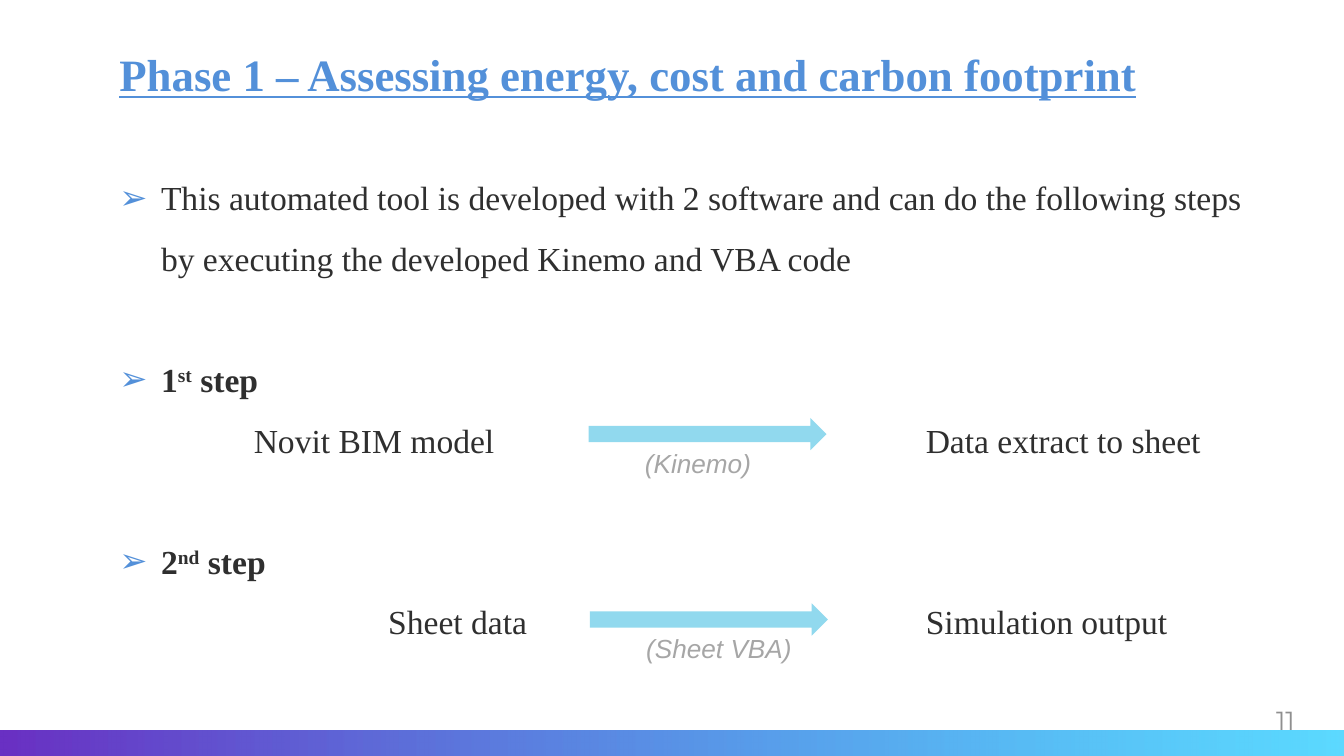
from dataclasses import dataclass

from lxml.etree import SubElement
from pptx import Presentation
from pptx.dml.color import RGBColor
from pptx.enum.shapes import MSO_SHAPE
from pptx.enum.text import MSO_ANCHOR, PP_ALIGN
from pptx.oxml.ns import qn
from pptx.util import Inches, Pt


@dataclass(frozen=True)
class Theme:
    accent: str = "5390D9"
    ink: str = "2F2F2F"
    arrow: str = "91D9EE"
    caption: str = "A6A6A6"
    number: str = "8F8F8F"
    bar_start: str = "6930C3"
    bar_end: str = "00C4FF"
    bar_end_opacity: int = 64
    serif: str = "Times New Roman"
    sans: str = "Arial"
    number_font: str = "Montserrat"
    title_size: int = 24
    body_size: int = 18
    small_size: int = 14


THEME = Theme()
TITLE = {"name": THEME.serif, "size": Pt(THEME.title_size), "color": THEME.accent,
         "bold": True, "underline": True}
BODY = {"name": THEME.serif, "size": Pt(THEME.body_size), "color": THEME.ink}
STRONG = {**BODY, "bold": True}
CAPTION = {"name": THEME.sans, "size": Pt(THEME.small_size), "color": THEME.caption,
           "italic": True}
NUMBER = {"name": THEME.number_font, "size": Pt(THEME.small_size), "color": THEME.number}

PAGE_WIDTH = 10
PAGE_HEIGHT = PAGE_WIDTH * 9 / 16
BAR_HEIGHT = 0.19
OUTPUT_TAB = 6
STEP_GAP = Pt(32.5)
# ordinal, suffix, input, tab of the input, output, tool, arrow left, arrow top
STEPS = [
    ("1", "st", "Novit BIM model", 1, "Data extract to sheet", "(Kinemo)", 4.38, 3.11),
    ("2", "nd", "Sheet data", 2, "Simulation output", "(Sheet VBA)", 4.39, 4.49),
]


def add_span(para, text, style, baseline=None):
    span = para.add_run()
    span.text = text
    for key, value in style.items():
        if key == "color":
            span.font.color.rgb = RGBColor.from_string(value)
        else:
            setattr(span.font, key, value)
    if baseline:
        span.font._element.set("baseline", str(baseline * 1000))


def add_text_box(page, left, top, width, height, inset=0.05):
    box = page.shapes.add_textbox(Inches(left), Inches(top), Inches(width), Inches(height))
    frame = box.text_frame
    frame.word_wrap = True
    frame.margin_top = frame.margin_bottom = Inches(inset)
    return frame


def add_bullet(para):
    """Give the paragraph a hanging arrowhead bullet in the accent colour."""
    properties = para._p.get_or_add_pPr()
    properties.set("marL", str(Inches(0.31)))
    properties.set("indent", str(-Inches(0.31)))
    color = SubElement(properties, qn("a:buClr"))
    SubElement(color, qn("a:srgbClr"), val=THEME.accent)
    SubElement(properties, qn("a:buFont"), typeface=THEME.sans)
    SubElement(properties, qn("a:buChar"), char="➢")


def set_tabs(para, positions):
    tabs = SubElement(para._p.get_or_add_pPr(), qn("a:tabLst"))
    for position in positions:
        SubElement(tabs, qn("a:tab"), pos=str(Inches(position)), algn="l")


def add_body(page):
    frame = add_text_box(page, 0.79, 1.07, 8.76, 4.34, inset=0.1)
    intro = frame.paragraphs[0]
    intro.line_spacing = 1.5
    add_bullet(intro)
    add_span(intro, "This automated tool is developed with 2 software and can do the "
                    "following steps by executing the developed Kinemo and VBA code", BODY)
    for ordinal, suffix, source, source_tab, output, *_ in STEPS:
        heading = frame.add_paragraph()
        heading.line_spacing = 1.5
        heading.space_before = STEP_GAP
        add_bullet(heading)
        add_span(heading, ordinal, STRONG)
        add_span(heading, suffix, STRONG, baseline=30)
        add_span(heading, " step", STRONG)

        flow = frame.add_paragraph()
        flow.line_spacing = 1.5
        set_tabs(flow, (source_tab, OUTPUT_TAB))
        add_span(flow, f"\t{source}\t{output}", BODY)


def add_plain_shape(page, kind, left, top, width, height):
    shape = page.shapes.add_shape(kind, Inches(left), Inches(top),
                                  Inches(width), Inches(height))
    shape.shadow.inherit = False
    shape.line.fill.background()
    return shape


def add_tool_arrow(page, left, top, tool):
    arrow = add_plain_shape(page, MSO_SHAPE.RIGHT_ARROW, left, top, 1.77, 0.24)
    arrow.fill.solid()
    arrow.fill.fore_color.rgb = RGBColor.from_string(THEME.arrow)
    frame = add_text_box(page, left + 0.32, top + 0.17, 1.47, 0.34)
    add_span(frame.paragraphs[0], tool, CAPTION)


def add_footer_bar(page):
    """Draw the bar along the bottom edge, fading towards the right."""
    bar = add_plain_shape(page, MSO_SHAPE.RECTANGLE, 0, PAGE_HEIGHT - BAR_HEIGHT,
                          PAGE_WIDTH, BAR_HEIGHT)
    bar.fill.gradient()
    bar.fill.gradient_angle = 0
    for stop, color in zip(bar.fill.gradient_stops, (THEME.bar_start, THEME.bar_end)):
        stop.color.rgb = RGBColor.from_string(color)
    end_color = list(bar._element.spPr.iter(qn("a:srgbClr")))[-1]
    SubElement(end_color, qn("a:alpha"), val=str(THEME.bar_end_opacity * 1000))


def add_page_number(page, number):
    frame = add_text_box(page, 9.31, 5.21, 0.51, 0.3)
    frame.vertical_anchor = MSO_ANCHOR.MIDDLE
    para = frame.paragraphs[0]
    para.alignment = PP_ALIGN.CENTER
    add_span(para, number, NUMBER)


def main():
    deck = Presentation()
    deck.slide_width, deck.slide_height = Inches(PAGE_WIDTH), Inches(PAGE_HEIGHT)
    page = deck.slides.add_slide(deck.slide_layouts[6])

    add_footer_bar(page)
    title = add_text_box(page, 0.79, 0.25, 8.43, 0.67, inset=0.1)
    add_span(title.paragraphs[0], "Phase 1 – Assessing energy, cost and carbon footprint", TITLE)
    add_body(page)
    add_page_number(page, "11")
    for *_, tool, left, top in STEPS:
        add_tool_arrow(page, left, top, tool)

    deck.save("out.pptx")


if __name__ == "__main__":
    main()
